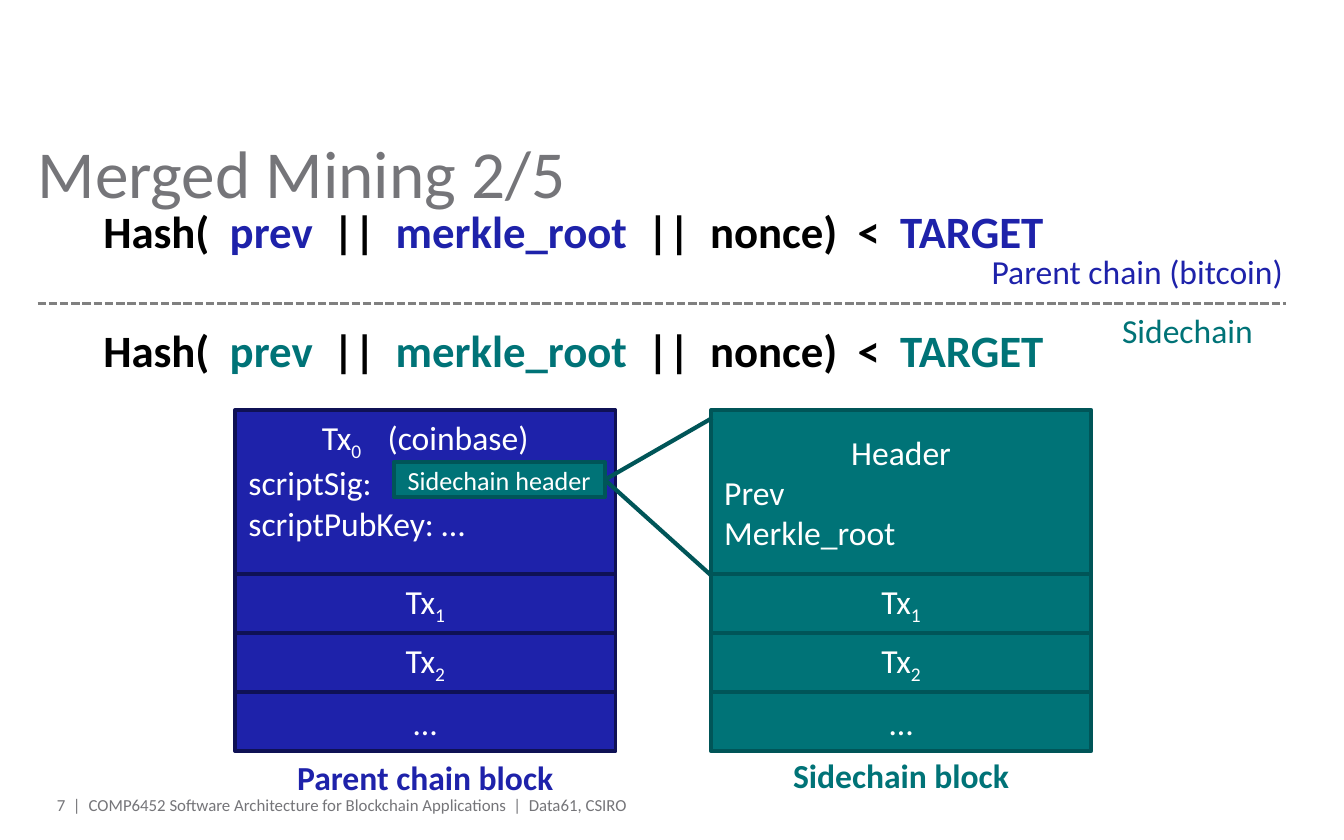
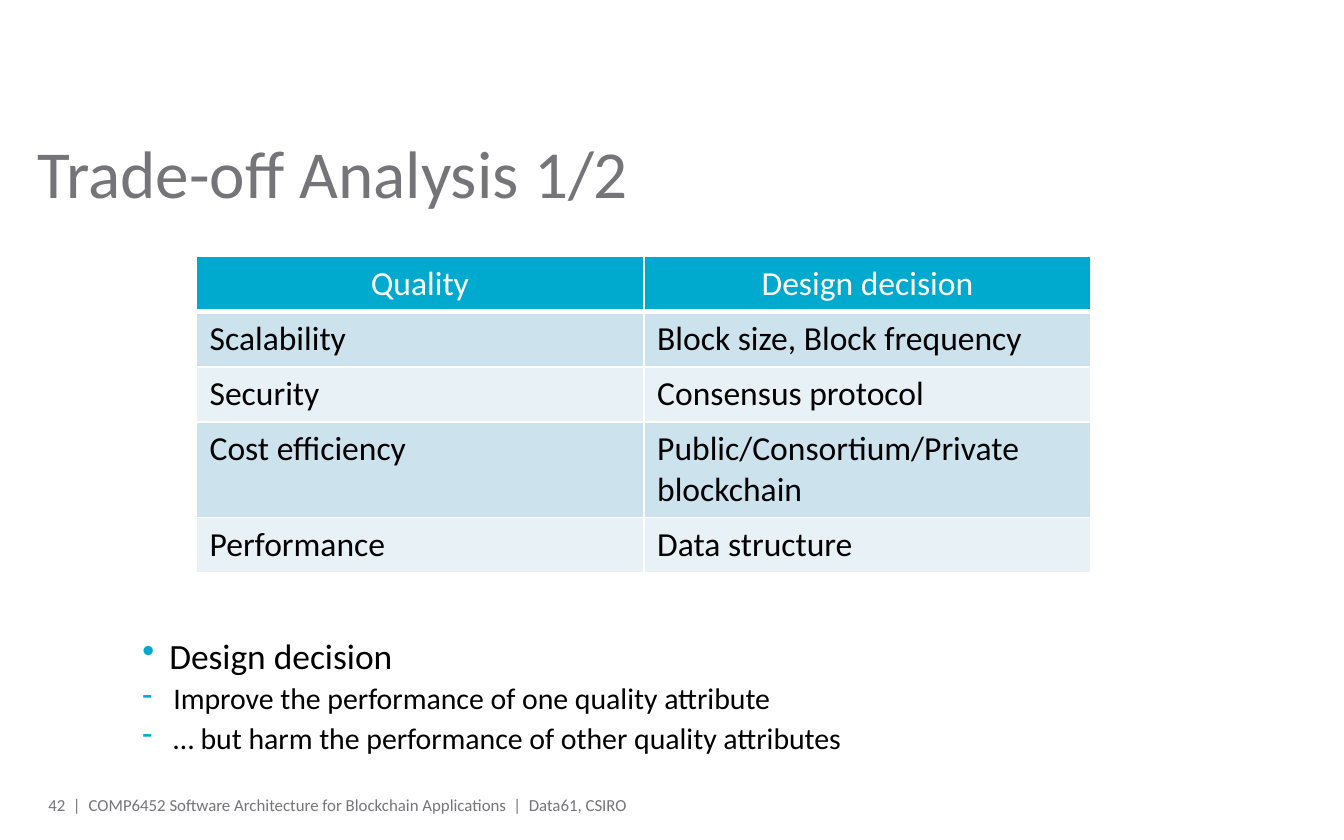
"""Build two blockchain lecture slides: merged mining and trade-off analysis."""
import dataclasses

import lxml.etree
import pptx
import pptx.dml.color
import pptx.enum.dml
import pptx.enum.shapes
import pptx.enum.text
import pptx.oxml.ns
import pptx.util

Inches = pptx.util.Inches
Pt = pptx.util.Pt
qn = pptx.oxml.ns.qn
rgb = pptx.dml.color.RGBColor.from_string
ANCHOR = pptx.enum.text.MSO_ANCHOR
ALIGN = pptx.enum.text.PP_ALIGN
STRAIGHT = pptx.enum.shapes.MSO_CONNECTOR.STRAIGHT


@dataclasses.dataclass(frozen=True)
class Theme:
    font: str = "Calibri"
    grey: str = "757579"
    divider: str = "808080"
    black: str = "000000"
    white: str = "FFFFFF"
    parent: str = "1E22AA"
    parent_line: str = "0F1155"
    side: str = "007377"
    side_line: str = "005558"
    accent: str = "00A9CE"
    bands: tuple = ("CCE2ED", "E7F1F6")
    title_size: int = 36
    formula_size: int = 24
    bullet_size: int = 19
    body_size: int = 18
    sub_bullet_size: int = 16
    small_size: int = 14
    footer_size: int = 9


theme = Theme()


def add_box(slide, at, fill=None, line=None, anchor=ANCHOR.TOP, inset=(0.1, 0.05)):
    """Add a text box, or a rectangle when a fill is given."""
    place = [Inches(length) for length in at]
    if fill:
        shape = slide.shapes.add_shape(pptx.enum.shapes.MSO_SHAPE.RECTANGLE, *place)
        shape.shadow.inherit = False
        shape.fill.solid()
        shape.fill.fore_color.rgb = rgb(fill)
        shape.line.color.rgb = rgb(line)
        shape.line.width = Pt(2)
    else:
        shape = slide.shapes.add_textbox(*place)
    frame = shape.text_frame
    frame.word_wrap = True
    frame.vertical_anchor = anchor
    frame.margin_left = frame.margin_right = Inches(inset[0])
    frame.margin_top = frame.margin_bottom = Inches(inset[1])
    return shape


def write(paragraph, pieces, size, color, align=ALIGN.LEFT, bold=False):
    """Write pieces of (text, colour, run attributes); a lone space is a double-width gap."""
    paragraph.alignment = align
    if isinstance(pieces, str):
        pieces = [(pieces, color, {})]
    for text, piece_color, attributes in pieces:
        run = paragraph.add_run()
        run.text = text
        run.font.name = theme.font
        run.font.size = Pt(size)
        run.font.bold = bold
        run.font.color.rgb = rgb(piece_color)
        if text == " ":
            attributes = {"spc": str(round(size * 22.6)), **attributes}
        for name, value in attributes.items():
            run.font._element.set(name, value)


presentation = pptx.Presentation()
presentation.slide_width = Inches(10)
presentation.slide_height = Inches(6.25)

slides = []
for title, number in (("Merged Mining 2/5", "7"), ("Trade-off Analysis 1/2", "42")):
    slide = presentation.slides.add_slide(presentation.slide_layouts[6])
    slides.append(slide)
    title_box = add_box(slide, (0.28, 0.98, 9.45, 0.78), inset=(0, 0))
    write(title_box.text_frame.paragraphs[0], title, theme.title_size, theme.grey)
    course = ("COMP6452 Software Architecture for Blockchain Applications", " ", "|", " ", "Data61, CSIRO")
    for at, words, align in (
        ((0.66, 5.93, 6.65, 0.11), course, ALIGN.LEFT),
        ((0.28, 5.93, 0.32, 0.12), (number, " ", "|"), ALIGN.RIGHT),
    ):
        footer = add_box(slide, at, anchor=ANCHOR.MIDDLE, inset=(0, 0))
        pieces = [(word, theme.grey, {}) for word in words]
        write(footer.text_frame.paragraphs[0], pieces, theme.footer_size, theme.grey, align)

mining, trade_off = slides

subscript = {"baseline": "-25000"}
coinbase = [
    ("Tx", theme.white, {}),
    ("0", theme.white, subscript),
    (" ", theme.white, {"spc": "1000"}),
    ("(coinbase)", theme.white, {}),
]
block_width, head_top, head_height, row_height = 2.83, 3.05, 1.22, 0.44
chains = (
    (1.75, theme.parent, theme.parent_line, ANCHOR.TOP, (coinbase, "scriptSig:", "scriptPubKey: …"),
     "Parent chain block", 5.58, 1.47, "Parent chain (bitcoin)", (7.28, 1.82, 2.72, 0.4)),
    (5.29, theme.side, theme.side_line, ANCHOR.MIDDLE, ("Header", "Prev", "Merkle_root"),
     "Sidechain block", 5.57, 2.35, "Sidechain", (8.25, 2.26, 1.55, 0.4)),
)
for left, fill, line, anchor, head_lines, caption, caption_top, formula_top, label, label_at in chains:
    head = add_box(mining, (left, head_top, block_width, head_height), fill, line, anchor)
    for index, text in enumerate(head_lines):
        paragraph = head.text_frame.add_paragraph() if index else head.text_frame.paragraphs[0]
        write(paragraph, text, theme.body_size, theme.white, ALIGN.LEFT if index else ALIGN.CENTER)

    transactions = [[("Tx", theme.white, {}), (digit, theme.white, subscript)] for digit in "12"]
    for index, text in enumerate([*transactions, "…"]):
        top = head_top + head_height + index * row_height
        row = add_box(mining, (left, top, block_width, row_height), fill, line, ANCHOR.MIDDLE)
        write(row.text_frame.paragraphs[0], text, theme.body_size, theme.white, ALIGN.CENTER)

    caption_box = add_box(mining, (left, caption_top, block_width, 0.4))
    write(caption_box.text_frame.paragraphs[0], caption, theme.body_size, fill, ALIGN.CENTER, True)

    formula = []
    for word in ("Hash(", "prev", "||", "merkle_root", "||", "nonce)", "<", "TARGET"):
        if formula:
            formula.append((" ", theme.black, {}))
        varies = word in ("prev", "merkle_root", "TARGET")
        formula.append((word, fill if varies else theme.black, {}))
    formula_box = add_box(mining, (0.67, formula_top, 7.48, 0.5))
    write(formula_box.text_frame.paragraphs[0], formula, theme.formula_size, theme.black, bold=True)

    label_box = add_box(mining, label_at)
    write(label_box.text_frame.paragraphs[0], label, theme.body_size, fill)

side_header = add_box(
    mining, (2.93, 3.44, 1.57, 0.26), theme.side, theme.side_line, ANCHOR.MIDDLE
)
write(side_header.text_frame.paragraphs[0], "Sidechain header", theme.small_size, theme.white, ALIGN.CENTER)

for start, end, color, width in (
    ((0.28, 2.26), (9.57, 2.26), theme.divider, 1.5),
    ((4.5, 3.57), (5.3, 3.11), theme.side_line, 2.25),
    ((4.5, 3.57), (5.29, 4.28), theme.side_line, 2.25),
):
    connector = mining.shapes.add_connector(STRAIGHT, *[Inches(length) for length in start + end])
    connector.line.color.rgb = rgb(color)
    connector.line.width = Pt(width)
    if color == theme.divider:
        connector.line.dash_style = pptx.enum.dml.MSO_LINE.SQUARE_DOT
    else:
        connector.begin_connect(side_header, 3)
    lxml.etree.SubElement(connector._element.spPr, qn("a:effectLst"))

qualities = (
    ("Quality", "Design decision"),
    ("Scalability", "Block size, Block frequency"),
    ("Security", "Consensus protocol"),
    ("Cost efficiency", "Public/Consortium/Private blockchain"),
    ("Performance", "Data structure"),
)
table = trade_off.shapes.add_table(
    len(qualities), 2, Inches(1.46), Inches(1.91), Inches(6.67), Inches(2.32)
).table
table.first_row = table.horz_banding = False
for column in table.columns:
    column.width = Inches(3.33)
for row_index, words in enumerate(qualities):
    is_header = row_index == 0
    table.rows[row_index].height = Inches(0.71 if "Cost efficiency" in words else 0.41)
    for column_index, text in enumerate(words):
        cell = table.cell(row_index, column_index)
        properties = cell._tc.get_or_add_tcPr()
        for side in ("L", "R", "T", "B"):
            width = Pt(3 if is_header and side == "B" else 1)
            border = lxml.etree.SubElement(properties, qn(f"a:ln{side}"), w=str(width))
            border_fill = lxml.etree.SubElement(border, qn("a:solidFill"))
            lxml.etree.SubElement(border_fill, qn("a:srgbClr"), val=theme.white)
        cell.fill.solid()
        cell.fill.fore_color.rgb = rgb(theme.accent if is_header else theme.bands[(row_index - 1) % 2])
        write(
            cell.text_frame.paragraphs[0], text, theme.body_size,
            theme.white if is_header else theme.black,
            ALIGN.CENTER if is_header else ALIGN.LEFT,
        )

bullets = add_box(trade_off, (0.98, 4.71, 8.15, 1.09), inset=(0.08, 0.04)).text_frame
for index, (text, mark, level, indent, size) in enumerate((
    ("Design decision", "•", 0, 0.2, theme.bullet_size),
    ("Improve the performance of one quality attribute", "-", 1, 0.23, theme.sub_bullet_size),
    ("… but harm the performance of other quality attributes", "-", 1, 0.23, theme.sub_bullet_size),
)):
    paragraph = bullets.add_paragraph() if index else bullets.paragraphs[0]
    properties = paragraph._p.get_or_add_pPr()
    properties.set("marL", str(Inches(indent)))
    properties.set("indent", str(-Inches(indent)))
    bullet_color = lxml.etree.SubElement(properties, qn("a:buClr"))
    lxml.etree.SubElement(bullet_color, qn("a:srgbClr"), val=theme.accent)
    lxml.etree.SubElement(properties, qn("a:buChar"), char=mark)
    paragraph.level = level
    paragraph.line_spacing = 0.9
    if index:
        paragraph.space_before = Pt(3.9)
    write(paragraph, text, size, theme.black)

presentation.save("out.pptx")
